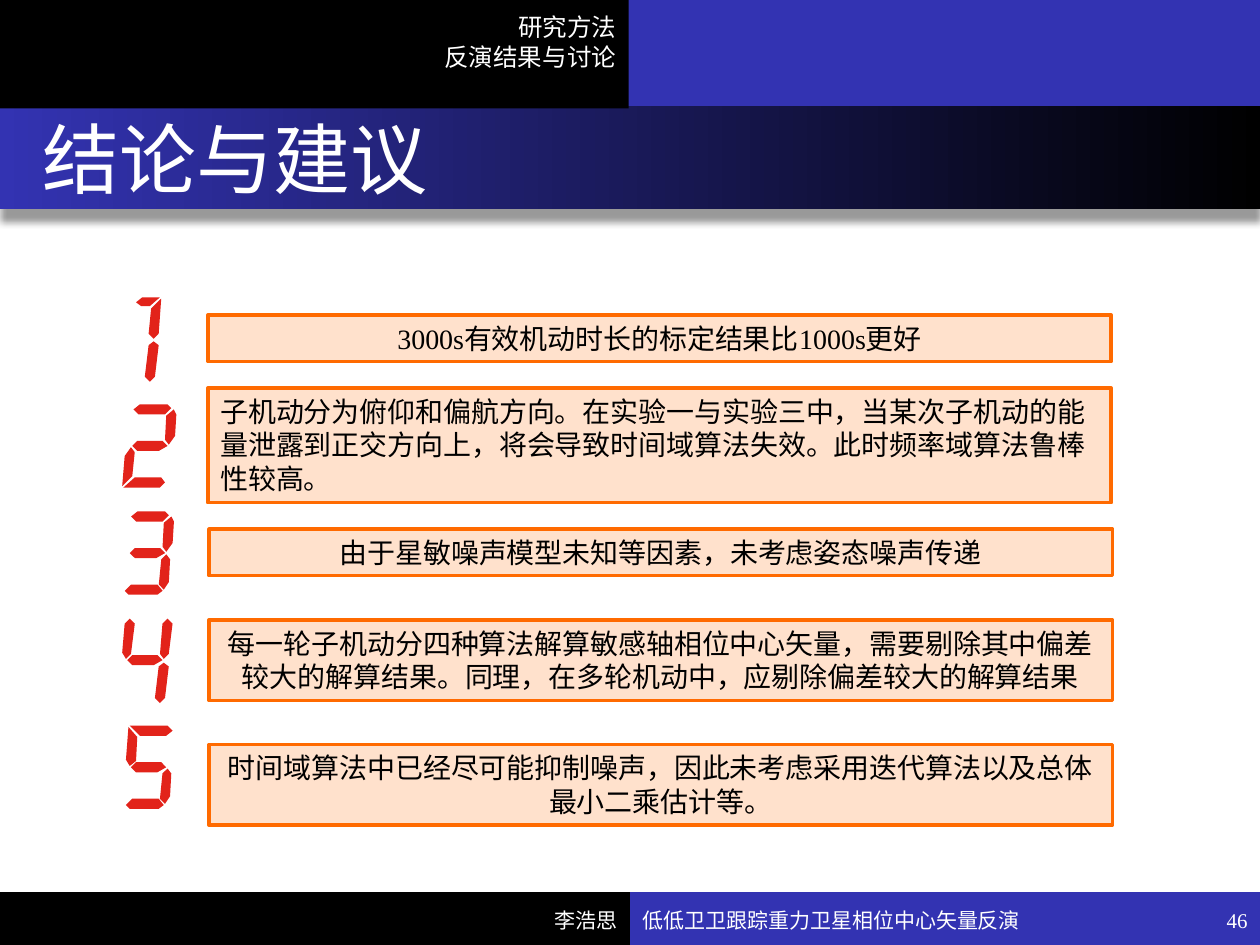
import pptx
import pptx.util
import pptx.dml.color
import pptx.enum.shapes
import pptx.enum.text
import pptx.oxml

Inches = pptx.util.Inches
RGB = pptx.dml.color.RGBColor
ALIGN = pptx.enum.text.PP_ALIGN
ANCHOR = pptx.enum.text.MSO_ANCHOR
BLACK = RGB(0x00, 0x00, 0x00)
WHITE = RGB(0xFF, 0xFF, 0xFF)
BLUE = RGB(0x33, 0x33, 0xB2)
PEACH = RGB(0xFF, 0xE1, 0xCC)
ORANGE = RGB(0xFF, 0x6A, 0x00)
RED = RGB(0xE2, 0x23, 0x1A)
SERIF = "Times New Roman"

deck = pptx.Presentation()
deck.slide_width, deck.slide_height = Inches(10), Inches(7.5)
slide = deck.slides.add_slide(deck.slide_layouts[5])
shapes = slide.shapes


def block(x, y, w, h, fill):
    rect = shapes.add_shape(
        pptx.enum.shapes.MSO_SHAPE.RECTANGLE,
        Inches(x), Inches(y), Inches(w), Inches(h))
    rect.shadow.inherit = False
    rect.fill.solid()
    rect.fill.fore_color.rgb = fill
    rect.line.fill.background()
    return rect


def write(shape, text, size, color=WHITE, align=ALIGN.LEFT,
          anchor=ANCHOR.MIDDLE, face=SERIF):
    frame = shape.text_frame
    frame.text = text
    form = {"word_wrap": True, "vertical_anchor": anchor,
            "auto_size": pptx.enum.text.MSO_AUTO_SIZE.NONE}
    for key, value in form.items():
        setattr(frame, key, value)
    for para in frame.paragraphs:
        para.alignment = align
        for key, value in {"size": pptx.util.Pt(size), "name": face}.items():
            setattr(para.font, key, value)
        para.font.color.rgb = color


block(5, 7.08, 5, 0.42, BLUE)
block(0, 7.08, 5, 0.42, BLACK)
band = block(0, 0.83, 10, 0.83, BLUE)
band.fill.gradient()
band.fill.gradient_angle = 180
for stop, color in zip(band.fill.gradient_stops, (BLACK, BLUE)):
    stop.color.rgb = color
for stop, place in zip(band.fill.gradient_stops, (0, 1)):
    stop.position = place
glow = band._element.spPr.find(pptx.oxml.ns.qn("a:effectLst"))
glow.append(pptx.oxml.parse_xml(
    '<a:outerShdw xmlns:a="http://schemas.openxmlformats.org/drawingml/2006/main"'
    ' blurRad="50800" dist="88900" dir="5400000" algn="t" rotWithShape="0">'
    '<a:srgbClr val="000000"><a:alpha val="40000"/></a:srgbClr></a:outerShdw>'))
block(4.92, -0.01, 5.08, 0.85, BLUE)
block(-0.01, -0.01, 5, 0.87, BLACK)

labels = [
    ((1.17, 7.1, 3.83, 0.4), "李浩思", 12, ALIGN.RIGHT, ANCHOR.MIDDLE, SERIF),
    ((2.32, 0.05, 2.67, 0.57), "研究方法\n反演结果与讨论", 14,
     ALIGN.RIGHT, ANCHOR.TOP, "Arial"),
    ((5, 7.1, 3.83, 0.4), "低低卫卫跟踪重力卫星相位中心矢量反演", 12,
     ALIGN.LEFT, ANCHOR.MIDDLE, SERIF),
    ((8.83, 7.1, 1.17, 0.4), "46", 12, ALIGN.RIGHT, ANCHOR.MIDDLE, SERIF),
]
for area, text, size, align, anchor, face in labels:
    label = shapes.add_textbox(*map(Inches, area))
    write(label, text, size, WHITE, align, anchor, face)

title = shapes.title
spot = {"left": 0.04, "top": 0.85, "width": 9.85, "height": 0.81}
for key, value in spot.items():
    setattr(title, key, Inches(value))
write(title, "结论与建议", 44)
inset = title.text_frame.paragraphs[0]._p.get_or_add_pPr()
inset.set("marL", str(Inches(0.2)))
inset.set("indent", "0")
title._element.getparent().append(title._element)

points = [
    (1.65, 2.5, 0.37, ALIGN.CENTER, "3000s有效机动时长的标定结果比1000s更好"),
    (1.65, 3.08, 0.91, ALIGN.LEFT,
     "子机动分为俯仰和偏航方向。在实验一与实验三中，当某次子机动的能量泄露到正交方向上，"
     "将会导致时间域算法失效。此时频率域算法鲁棒性较高。"),
    (1.66, 4.2, 0.37, ALIGN.CENTER,
     "由于星敏噪声模型未知等因素，未考虑姿态噪声传递"),
    (1.66, 4.92, 0.64, ALIGN.CENTER,
     "每一轮子机动分四种算法解算敏感轴相位中心矢量，需要剔除其中偏差较大的解算结果。"
     "同理，在多轮机动中，应剔除偏差较大的解算结果"),
    (1.66, 5.91, 0.64, ALIGN.CENTER,
     "时间域算法中已经尽可能抑制噪声，因此未考虑采用迭代算法以及总体最小二乘估计等。"),
]
for x, y, h, align, text in points:
    box = block(x, y, 7.17, h, PEACH)
    box.line.color.rgb = ORANGE
    box.line.width = pptx.util.Pt(2)
    write(box, text, 16, BLACK, align, ANCHOR.TOP)

bars = {
    "top": [(13, 8), (9, 4), (14, 0), (36, 0), (39, 3), (34, 8)],
    "top short": [(27, 7), (23, 4), (28, 0), (42, 0), (34, 7)],
    "top long": [(15, 8), (7, 0), (37, 0), (41, 4), (36, 8)],
    "mid": [(29, 37), (12, 37), (8, 33), (12, 29), (32, 29), (36, 33)],
    "base": [(30, 58), (34, 63), (30, 66), (7, 66), (4, 63), (9, 58)],
    "base long": [(31, 58), (34, 62), (30, 66), (1, 66), (10, 58)],
    "left up": [(11, 28), (7, 32), (4, 27), (6, 4), (10, 0), (14, 4)],
    "left cut": [(12, 28), (7, 32), (4, 27), (6, 1), (13, 9)],
    "left low": [(8, 57), (0, 65), (2, 41), (7, 34), (10, 38)],
    "right up": [(35, 9), (41, 4), (43, 8), (42, 25), (37, 32), (34, 28)],
    "right cut": [(35, 9), (43, 1), (41, 29), (37, 33), (33, 29)],
    "right tip": [(41, 28), (37, 32), (34, 28), (36, 4), (40, 0), (44, 4)],
    "right low": [(33, 38), (37, 34), (40, 38), (39, 56), (35, 62), (31, 58)],
    "right end": [(37, 35), (41, 38), (38, 63), (34, 67), (30, 63), (33, 38)],
}
digits = [
    (0.85, ["top short", "right cut", "right end"]),
    (0.97, ["top", "right up", "mid", "left low", "base long"]),
    (0.95, ["top", "right up", "mid", "right low", "base"]),
    (0.93, ["left up", "mid", "right tip", "right end"]),
    (0.96, ["top long", "left cut", "mid", "right low", "base"]),
]
for row, (x, names) in enumerate(digits):
    first = bars[names[0]]
    pen = shapes.build_freeform(*first[0], scale=Inches(0.01))
    pen.add_line_segments(first[1:], close=True)
    for name in names[1:]:
        pen.move_to(*bars[name][0])
        pen.add_line_segments(bars[name][1:], close=True)
    digit = pen.convert_to_shape(Inches(x), Inches(2.36 + 0.85 * row))
    digit.shadow.inherit = False
    digit.fill.solid()
    digit.fill.fore_color.rgb = RED
    digit.line.fill.background()

deck.save("out.pptx")
